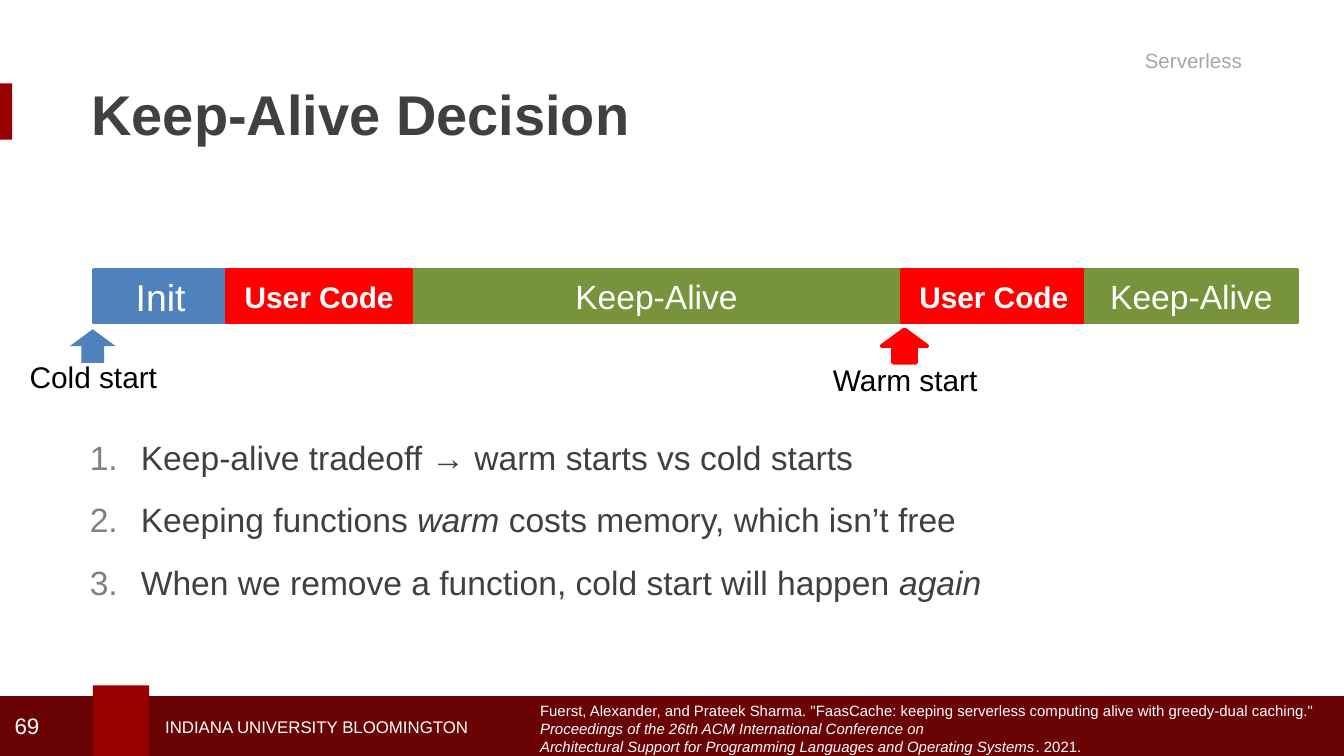
from dataclasses import dataclass
from itertools import accumulate
from typing import Optional

from lxml.etree import SubElement
from pptx import Presentation
from pptx.dml.color import RGBColor
from pptx.enum.shapes import MSO_SHAPE as Preset
from pptx.enum.text import MSO_ANCHOR as Anchor, PP_ALIGN as Align
from pptx.oxml.ns import qn
from pptx.util import Inches, Pt


@dataclass(frozen=True)
class Theme:
    font: str = "Arial"
    crimson: str = "990000"
    dark_crimson: str = "690304"
    ink: str = "404041"
    number: str = "808080"
    muted: str = "A6A6A6"
    white: str = "FFFFFF"
    black: str = "000000"
    blue: str = "4F81BD"
    red: str = "FF0000"
    green: str = "77933C"
    title_size: int = 30
    init_size: int = 20
    body_size: int = 18
    label_size: int = 16
    page_size: int = 12
    section_size: int = 11
    footer_size: int = 9
    citation_size: int = 8


THEME = Theme()


@dataclass(frozen=True)
class Box:
    left: float
    top: float
    width: float
    height: float

    def lengths(self):
        return [Inches(n) for n in (self.left, self.top, self.width, self.height)]


@dataclass(frozen=True)
class Phase:
    label: str
    width: float
    color: str
    size: int
    bold: bool = False
    layer: int = 1


@dataclass(frozen=True)
class Start:
    label: str
    arrow_left: float
    label_left: float
    label_top: float
    color: str
    outline: Optional[str] = None


PHASES = [
    Phase("Init", 0.99, THEME.blue, THEME.init_size),
    Phase("User Code", 1.37, THEME.red, THEME.label_size, bold=True),
    Phase("Keep-Alive", 3.65, THEME.green, THEME.body_size, layer=0),
    Phase("User Code", 1.37, THEME.red, THEME.label_size, bold=True),
    Phase("Keep-Alive", 1.57, THEME.green, THEME.body_size),
]
STARTS = [
    Start("Cold start", 0.52, 0, 2.62, THEME.blue),
    Start("Warm start", 6.56, 6.04, 2.64, THEME.red, THEME.red),
]
# Each line is a list of runs; a run is its text and whether it is italic
POINTS = [
    [("Keep-alive tradeoff → warm starts vs cold starts", False)],
    [("Keeping functions ", False), ("warm", True),
     (" costs memory, which isn’t free", False)],
    [("When we remove a function, cold start will happen ", False), ("again", True)],
]
CITATION = [
    [('Fuerst, Alexander, and Prateek Sharma. "FaasCache: keeping serverless '
      'computing alive with greedy-dual caching."', False)],
    [("Proceedings of the 26th ACM International Conference on", True)],
    [("Architectural Support for Programming Languages and Operating Systems", True),
     (". 2021.", False)],
]


def add_numbering(paragraph, color: str) -> None:
    """Give a paragraph a hanging automatic number."""
    properties = paragraph._p.get_or_add_pPr()
    properties.set("marL", str(Inches(0.38)))
    properties.set("indent", str(-Inches(0.38)))
    bullet_color = SubElement(properties, qn("a:buClr"))
    SubElement(bullet_color, qn("a:srgbClr")).set("val", color)
    SubElement(properties, qn("a:buFont")).set("typeface", THEME.font)
    SubElement(properties, qn("a:buAutoNum")).set("type", "arabicPeriod")


def write(shape, text, *, size: int, color: str, bold: bool = False,
          align=Align.LEFT, anchor=Anchor.TOP, numbered: bool = False,
          space_after: int = 0) -> None:
    """Fill a shape with one string or with lines made of runs."""
    frame = shape.text_frame
    frame.word_wrap = True
    frame.vertical_anchor = anchor
    lines = [[(text, False)]] if isinstance(text, str) else text
    for index, line in enumerate(lines):
        paragraph = frame.add_paragraph() if index else frame.paragraphs[0]
        if numbered:
            add_numbering(paragraph, THEME.number)
        paragraph.alignment = align
        paragraph.space_before = Pt(0)
        paragraph.space_after = Pt(space_after)
        for words, italic in line:
            run = paragraph.add_run()
            run.text = words
            font = run.font
            font.name, font.size = THEME.font, Pt(size)
            font.bold, font.italic = bold, italic
            font.color.rgb = RGBColor.from_string(color)


def add_block(slide, box: Box, fill: str, outline: Optional[str] = None,
              preset=Preset.RECTANGLE):
    shape = slide.shapes.add_shape(preset, *box.lengths())
    shape.shadow.inherit = False
    shape.fill.solid()
    shape.fill.fore_color.rgb = RGBColor.from_string(fill)
    if outline:
        shape.line.color.rgb = RGBColor.from_string(outline)
        shape.line.width = Pt(2)
    else:
        shape.line.fill.background()
    return shape


def add_text(slide, box: Box, text, **style) -> None:
    write(slide.shapes.add_textbox(*box.lengths()), text, **style)


def add_title(slide, box: Box, text: str) -> None:
    title = slide.shapes.title
    title.left, title.top, title.width, title.height = box.lengths()
    write(title, text, size=THEME.title_size, color=THEME.ink, bold=True,
          anchor=Anchor.MIDDLE)


def add_timeline(slide, phases: list[Phase], left: float) -> None:
    """Lay the phases end to end, drawing the lower layer first."""
    lefts = accumulate((phase.width for phase in phases), initial=left)
    placed = sorted(zip(phases, lefts), key=lambda pair: pair[0].layer)
    for phase, phase_left in placed:
        block = add_block(slide, Box(phase_left, 2.01, phase.width, 0.39),
                          phase.color, phase.color)
        write(block, phase.label, size=phase.size, color=THEME.white,
              bold=phase.bold, align=Align.CENTER, anchor=Anchor.MIDDLE)


def add_start(slide, start: Start) -> None:
    add_block(slide, Box(start.arrow_left, 2.45, 0.34, 0.25), start.color,
              start.outline, Preset.UP_ARROW)
    add_text(slide, Box(start.label_left, start.label_top, 1.39, 0.37), start.label,
             size=THEME.label_size, color=THEME.black, align=Align.CENTER)


def main() -> None:
    presentation = Presentation()
    presentation.slide_width = Inches(10)
    presentation.slide_height = Inches(10 * 9 / 16)
    slide = presentation.slides.add_slide(presentation.slide_layouts[5])

    # Title, its side mark and the section name
    add_block(slide, Box(0, 0.62, 0.09, 0.42), THEME.crimson)
    add_title(slide, Box(0.58, 0.46, 8.75, 0.76), "Keep-Alive Decision")
    add_text(slide, Box(5.29, 0.31, 4.05, 0.28), "Serverless",
             size=THEME.section_size, color=THEME.muted, align=Align.RIGHT)

    # Timeline of one function with its two starts
    add_timeline(slide, PHASES, left=0.7)
    for start in STARTS:
        add_start(slide, start)

    # Numbered points
    add_text(slide, Box(0.57, 3.2, 8.77, 1.73), POINTS, size=THEME.body_size,
             color=THEME.ink, numbered=True, space_after=12)

    # Footer band, page number and citation
    add_block(slide, Box(-0.03, 5.18, 10.09, 0.5), THEME.dark_crimson)
    add_block(slide, Box(0.69, 5.1, 0.42, 0.58), THEME.crimson)
    add_text(slide, Box(1.13, 5.28, 3.95, 0.25), "INDIANA UNIVERSITY BLOOMINGTON",
             size=THEME.footer_size, color=THEME.white, anchor=Anchor.MIDDLE)
    add_text(slide, Box(0.01, 5.25, 0.58, 0.3), "69", size=THEME.page_size,
             color=THEME.white, anchor=Anchor.MIDDLE)
    add_text(slide, Box(3.92, 5.17, 6.23, 0.5), CITATION,
             size=THEME.citation_size, color=THEME.white)

    presentation.save("out.pptx")


if __name__ == "__main__":
    main()
